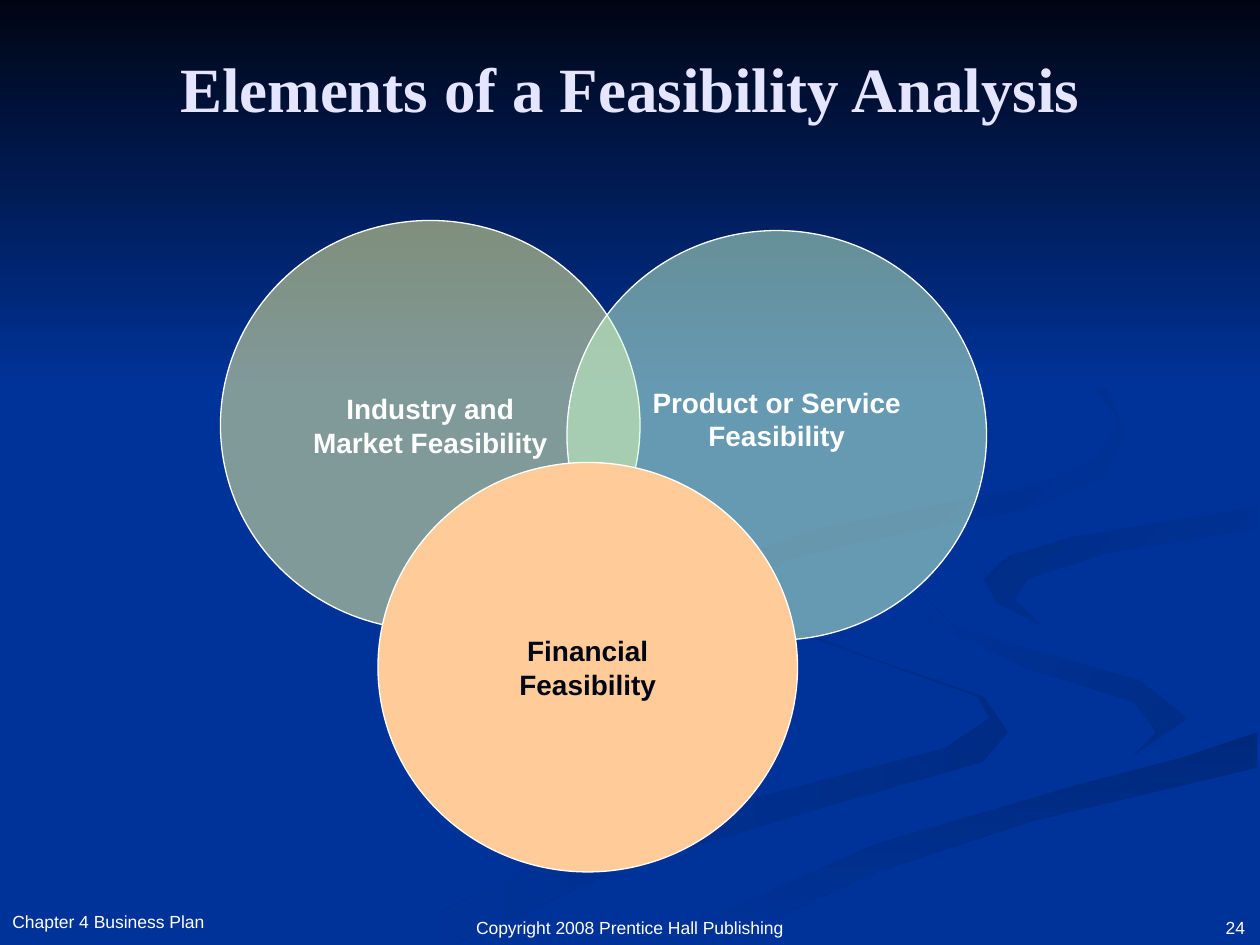
import pptx
import pptx.util
import pptx.dml.color
import pptx.enum.shapes
import pptx.enum.text
import lxml.etree

PX = 9144  # 100 px to the inch
RGB = pptx.dml.color.RGBColor
BLUE = RGB(0x00, 0x33, 0x99)
NIGHT = RGB(0x00, 0x05, 0x14)
DIM = RGB(0x00, 0x2C, 0x85)
DARK = RGB(0x00, 0x29, 0x7C)
WHITE = RGB(0xFF, 0xFF, 0xFF)
LILAC = RGB(0xE5, 0xE5, 0xFF)
YELLOW = RGB(0xFF, 0xFF, 0x99)
GREEN = RGB(0xCC, 0xFF, 0xCC)
PEACH = RGB(0xFF, 0xCC, 0x99)
ALIGN = pptx.enum.text.PP_ALIGN
ANCHOR = pptx.enum.text.MSO_ANCHOR
KIND = pptx.enum.shapes.MSO_SHAPE


def paint(shape, first, last, angle):
    """Fill without outline; the angle runs clockwise."""
    shape.shadow.inherit = False
    shape.line.fill.background()
    shape.fill.gradient()
    shape.fill.gradient_angle = (360 - angle) % 360
    for stop, color in zip(shape.fill.gradient_stops, (first, last)):
        stop.color.rgb = color


def write(shape, lines, align, anchor, color, look, wrap=True):
    """Set the lines of a shape as formatted paragraphs."""
    frame = shape.text_frame
    frame.text = "\n".join(lines)
    frame.word_wrap = wrap
    frame.vertical_anchor = anchor
    for para in frame.paragraphs:
        para.alignment = align
        for key, value in look.items():
            setattr(para.font, key, value)
        para.font.color.rgb = color


deck = pptx.Presentation()
deck.slide_width, deck.slide_height = 1000 * PX, 750 * PX
slide = deck.slides.add_slide(deck.slide_layouts[5])
shapes = slide.shapes
slide.background.fill.solid()
slide.background.fill.fore_color.rgb = BLUE

# Background ribbons: first colour, last colour, angle, outline
ribbons = [
    (DIM, BLUE, 180, [
        (781, 553), (682, 519), (594, 485), (575, 459), (581, 483),
        (697, 525), (776, 553), (785, 570), (749, 594), (579, 639),
        (417, 690), (300, 749), (361, 749), (499, 687), (676, 634),
        (780, 605), (800, 581)]),
    (DIM, BLUE, 225, [
        (943, 570), (905, 540), (758, 498), (724, 464), (739, 494),
        (815, 530), (900, 557), (918, 581), (894, 605), (937, 586)]),
    (DARK, BLUE, 90, [
        (503, 749), (571, 749), (695, 692), (821, 651), (998, 609),
        (998, 581), (936, 602), (764, 647), (630, 693)]),
    (BLUE, BLUE, 0, [
        (725, 464), (759, 498), (905, 540), (943, 570), (892, 605),
        (704, 655), (477, 749), (519, 747), (696, 669), (999, 581),
        (999, 538), (848, 503), (781, 463), (850, 427), (999, 402),
        (999, 387), (770, 427)]),
    (BLUE, DIM, 225, [
        (781, 460), (791, 478), (826, 496), (805, 476), (816, 459),
        (878, 439), (998, 420), (998, 402), (849, 427), (799, 442)]),
    (BLUE, DIM, 225, [
        (683, 430), (825, 402), (876, 378), (894, 344), (873, 299),
        (821, 261), (762, 233), (846, 279), (889, 335), (870, 365),
        (818, 386), (649, 420), (589, 441), (577, 462), (590, 484),
        (622, 500), (593, 470), (624, 444)]),
]
for first, last, angle, points in ribbons:
    pen = shapes.build_freeform(*points[0], scale=PX)
    pen.add_line_segments(points[1:])
    paint(pen.convert_to_shape(), first, last, angle)

# Dark band fading down from the top edge
band = shapes.add_shape(KIND.RECTANGLE, 0, 0, 1000 * PX, 308 * PX)
paint(band, NIGHT, BLUE, 90)

# Overlapping circles: left, top, fill, opacity, text colour, low inset, lines
bold = dict(name="Arial", size=pptx.util.Pt(16), bold=True)
circles = [
    (175, 175, YELLOW, 50, WHITE, 5, ["Industry and", "Market Feasibility"]),
    (450, 183, GREEN, 50, WHITE, 31, ["Product or Service", "Feasibility"]),
    (300, 367, PEACH, 100, NIGHT, 5, ["Financial", "Feasibility"]),
]
for left, top, color, solid, ink, low, lines in circles:
    disc = shapes.add_shape(KIND.OVAL, left * PX, top * PX, 333 * PX, 325 * PX)
    disc.shadow.inherit = False
    disc.fill.solid()
    disc.fill.fore_color.rgb = color
    if solid < 100:
        tint = disc.element.spPr.find(".//{*}srgbClr")
        tag = tint.tag.replace("srgbClr", "alpha")
        lxml.etree.SubElement(tint, tag, val=str(solid * 1000))
    disc.line.color.rgb = WHITE
    disc.line.width = pptx.util.Pt(0.75)
    write(disc, lines, ALIGN.CENTER, ANCHOR.MIDDLE, ink, bold, wrap=False)
    disc.text_frame.margin_bottom = low * PX

# Title, brought in front of the band
title = shapes.title
title.element.getparent().append(title.element)
place = dict(left=50, top=30, width=900, height=78)
for key, value in place.items():
    setattr(title, key, value * PX)
head = dict(name="Times New Roman", size=pptx.util.Pt(36), bold=True)
write(title, ["Elements of a Feasibility Analysis"], ALIGN.CENTER,
      ANCHOR.MIDDLE, LILAC, head)

# Footer texts
small = dict(name="Arial", size=pptx.util.Pt(10))
notes = [
    (368, 723, 264, 27, "Copyright 2008 Prentice Hall Publishing",
     ALIGN.LEFT, ANCHOR.TOP, False),
    (0, 693, 317, 52, "Chapter 4 Business Plan",
     ALIGN.LEFT, ANCHOR.BOTTOM, True),
    (765, 697, 233, 52, "24", ALIGN.RIGHT, ANCHOR.BOTTOM, True),
]
for left, top, width, height, text, align, anchor, wrap in notes:
    box = shapes.add_textbox(left * PX, top * PX, width * PX, height * PX)
    write(box, [text], align, anchor, WHITE, small, wrap)

deck.save("out.pptx")
